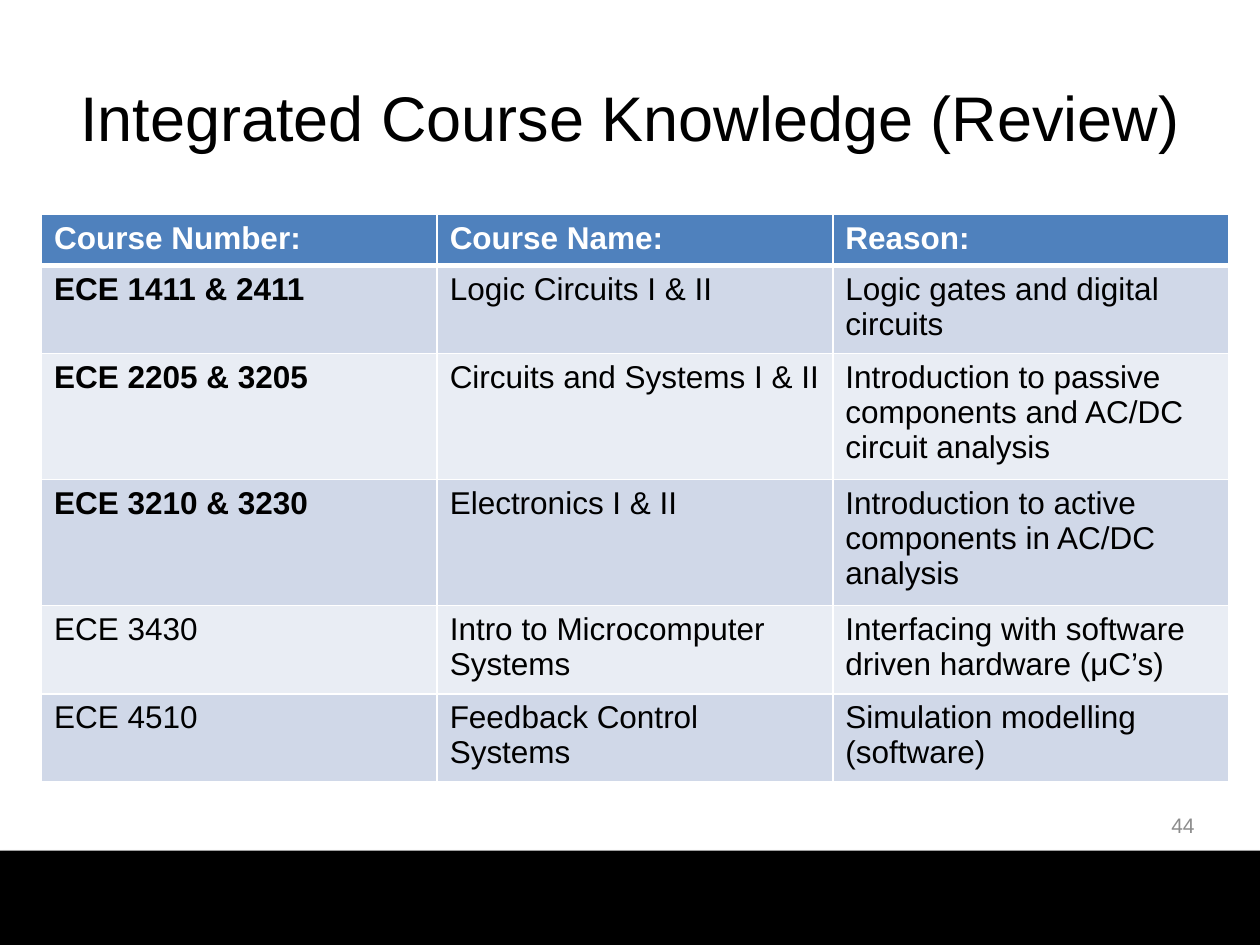
from dataclasses import dataclass

from lxml.etree import SubElement
from pptx import Presentation
from pptx.dml.color import RGBColor
from pptx.enum.shapes import MSO_SHAPE
from pptx.enum.text import MSO_ANCHOR, MSO_AUTO_SIZE, PP_ALIGN
from pptx.oxml import parse_xml
from pptx.oxml.ns import nsdecls, qn
from pptx.util import Inches, Pt


@dataclass(frozen=True)
class Theme:
    """Colours, font and type sizes of the slide."""

    font: str = "Arial"
    black: str = "000000"
    white: str = "FFFFFF"
    number: str = "8C8C8C"
    header: str = "4F81BD"
    bands: tuple = ("D0D8E8", "E9EDF4")
    title_size: int = 36
    table_size: int = 18
    number_size: int = 12


THEME = Theme()
HEADINGS = ("Course Number:", "Course Name:", "Reason:")
COURSES = (
    ("ECE 1411 & 2411", "Logic Circuits I & II", "Logic gates and digital circuits"),
    ("ECE 2205 & 3205", "Circuits and Systems I & II",
     "Introduction to passive components and AC/DC circuit analysis"),
    ("ECE 3210 & 3230", "Electronics I & II",
     "Introduction to active components in AC/DC analysis"),
    ("ECE 3430", "Intro to Microcomputer Systems",
     "Interfacing with software driven hardware (μC’s)"),
    ("ECE 4510", "Feedback Control Systems", "Simulation modelling (software)"),
)


def format_paragraph(paragraph, size, color, bold=False):
    """Set the font of a whole paragraph."""
    font = paragraph.font
    font.name = THEME.font
    font.size = Pt(size)
    font.bold = bold
    font.color.rgb = RGBColor.from_string(color)


def place(shape, box):
    """Move a shape to a box given as left, top, width, height."""
    shape.left, shape.top, shape.width, shape.height = box


def add_footer_bar(slide, box):
    """Draw the black bar with its soft shadow."""
    bar = slide.shapes.add_shape(MSO_SHAPE.RECTANGLE, *box)
    bar.fill.solid()
    bar.fill.fore_color.rgb = RGBColor.from_string(THEME.black)
    bar.line.fill.background()
    bar.shadow.inherit = False
    effects = bar.element.spPr.find(qn("a:effectLst"))
    effects.append(parse_xml(
        f'<a:outerShdw {nsdecls("a")} blurRad="{Pt(3.1)}" dist="{Pt(1.8)}" '
        f'dir="5400000" rotWithShape="0"><a:srgbClr val="{THEME.black}">'
        '<a:alpha val="35000"/></a:srgbClr></a:outerShdw>'))


def fill_title(slide, box):
    """Place and format the title placeholder."""
    title = slide.shapes.title
    place(title, box)
    frame = title.text_frame
    frame.text = "Integrated Course Knowledge (Review)"
    frame.auto_size = MSO_AUTO_SIZE.NONE
    frame.vertical_anchor = MSO_ANCHOR.MIDDLE
    paragraph = frame.paragraphs[0]
    paragraph.alignment = PP_ALIGN.CENTER
    format_paragraph(paragraph, THEME.title_size, THEME.black)


def add_slide_number(slide, box):
    """Write the slide number at the right of its box."""
    frame = slide.shapes.add_textbox(*box).text_frame
    frame.word_wrap = True
    frame.vertical_anchor = MSO_ANCHOR.MIDDLE
    frame.text = "44"
    paragraph = frame.paragraphs[0]
    paragraph.alignment = PP_ALIGN.RIGHT
    format_paragraph(paragraph, THEME.number_size, THEME.number)


def add_borders(cell, top, bottom):
    """Draw white cell borders, with top and bottom widths in points."""
    properties = cell._tc.get_or_add_tcPr()
    widths = {"a:lnL": 1, "a:lnR": 1, "a:lnT": top, "a:lnB": bottom}
    for index, (tag, width) in enumerate(widths.items()):
        line = SubElement(properties, qn(tag), w=str(Pt(width)))
        properties.insert(index, line)
        fill = SubElement(line, qn("a:solidFill"))
        SubElement(fill, qn("a:srgbClr"), val=THEME.white)


def format_cell(cell, text, row, column):
    """Write one cell, styled by its row and column."""
    is_header = row == 0
    is_paired_course = column == 0 and "&" in text
    cell.text = text
    cell.fill.solid()
    fill = THEME.header if is_header else THEME.bands[(row - 1) % 2]
    cell.fill.fore_color.rgb = RGBColor.from_string(fill)
    format_paragraph(cell.text_frame.paragraphs[0], THEME.table_size,
                     THEME.white if is_header else THEME.black,
                     is_header or is_paired_course)
    add_borders(cell, top=3 if row == 1 else 1, bottom=3 if is_header else 1)


def add_course_table(slide, box):
    """Build the course table, whose rows grow with their text."""
    rows = (HEADINGS, *COURSES)
    table = slide.shapes.add_table(len(rows), len(HEADINGS), *box).table
    for row, texts in enumerate(rows):
        for column, text in enumerate(texts):
            format_cell(table.cell(row, column), text, row, column)


def main():
    """Build and save the slide."""
    presentation = Presentation()
    presentation.slide_width = Inches(10)
    presentation.slide_height = Inches(7.5)
    slide = presentation.slides.add_slide(presentation.slide_layouts[5])
    add_footer_bar(slide, (0, Inches(6.75), Inches(10), Inches(0.75)))
    fill_title(slide, (Inches(0.5), Inches(0.3), Inches(9), Inches(1.25)))
    add_slide_number(slide, (Inches(7.25), Inches(6.35), Inches(2.33), Inches(0.4)))
    add_course_table(slide, (Inches(0.33), Inches(1.7), Inches(9.42), Inches(2.43)))
    presentation.save("out.pptx")


if __name__ == "__main__":
    main()
